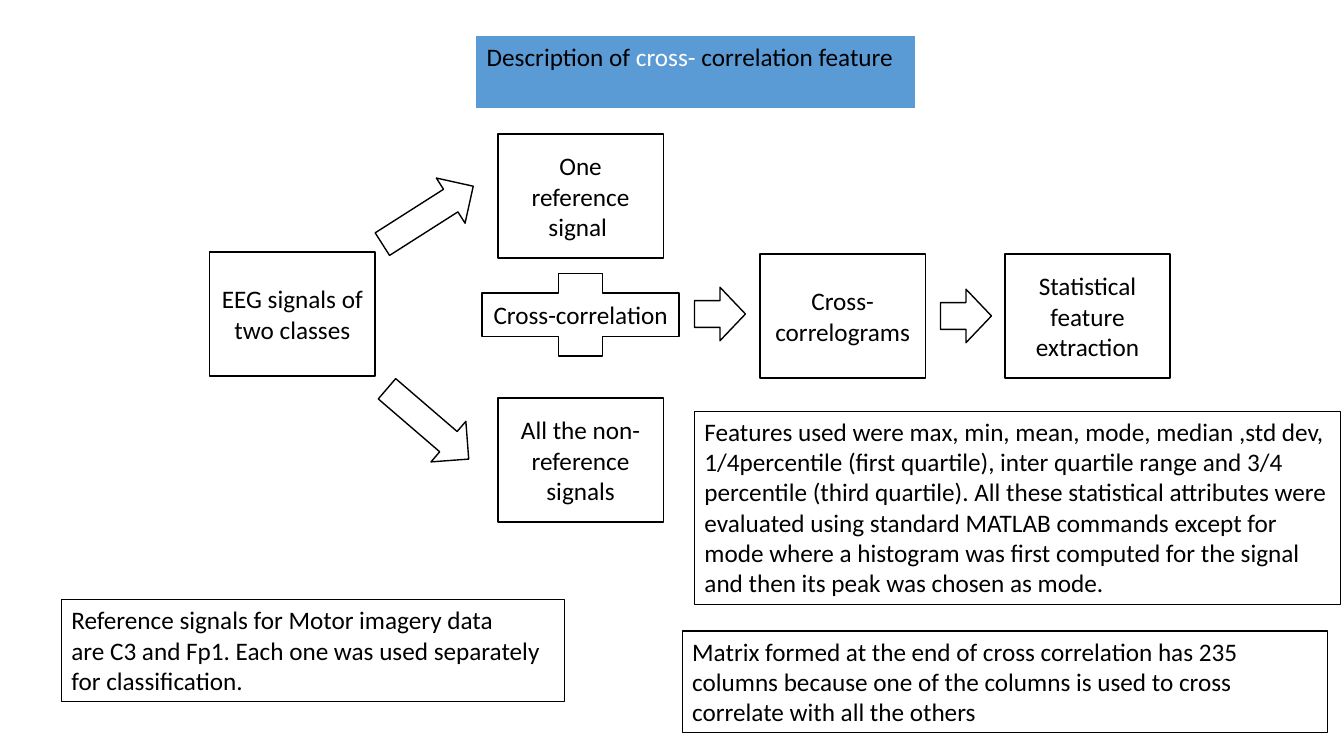
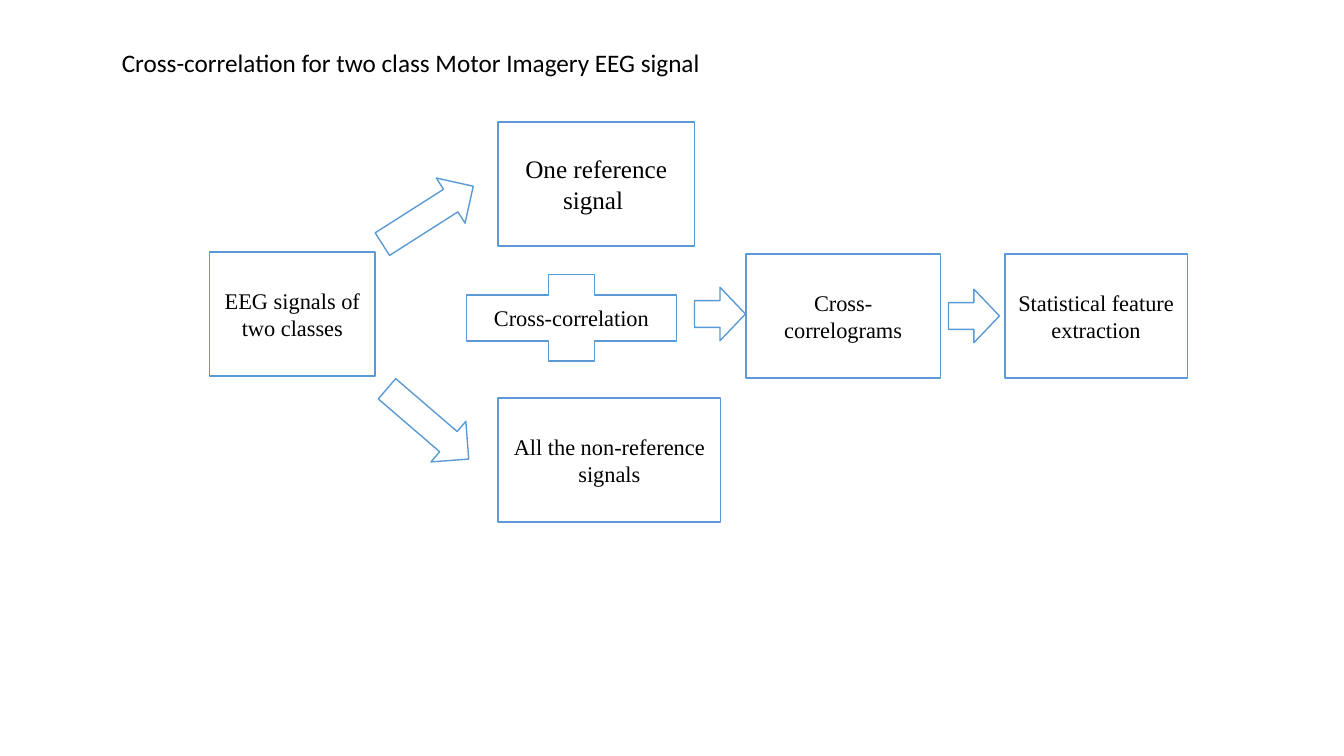
from pptx import Presentation
from pptx.dml.color import RGBColor
from pptx.enum.shapes import MSO_SHAPE
from pptx.enum.text import MSO_ANCHOR, PP_ALIGN
from pptx.util import Pt

RECTANGLE = MSO_SHAPE.RECTANGLE
RIGHT_ARROW = MSO_SHAPE.RIGHT_ARROW
PLUS = MSO_SHAPE.MATH_PLUS
LEFT, CENTER = PP_ALIGN.LEFT, PP_ALIGN.CENTER
TOP, MIDDLE = MSO_ANCHOR.TOP, MSO_ANCHOR.MIDDLE

BLACK = RGBColor(0x00, 0x00, 0x00)
WHITE = RGBColor(0xFF, 0xFF, 0xFF)
BLUE = RGBColor(0x5B, 0x9B, 0xD5)

BODY_FONT = "Calibri"
SERIF_FONT = "Times New Roman"
BODY_SIZE = 18

BOX_WIDTH, BOX_HEIGHT = 118.1, 88.6
SOURCE_LEFT, SOURCE_TOP = 149.8, 180
SIGNAL_LEFT, OTHERS_TOP = 355.7, 284.4
RESULT_TOP, FEATURES_LEFT = 181.4, 717.8
ARROW_HEIGHT = 38.2
SHORT_ARROW, LONG_ARROW = 36.4, 77


class Deck:
    """Holds the style of the diagrams and the slide being filled."""

    def __init__(self):
        self.presentation = Presentation()
        self.presentation.slide_width = Pt(960)
        self.presentation.slide_height = Pt(540)
        self.slide = None
        self.line_color, self.font, self.size = BLACK, BODY_FONT, BODY_SIZE

    def new_slide(self, line_color, font, size):
        """Start a blank slide and set the style of its diagram."""
        self.slide = self.presentation.slides.add_slide(self.presentation.slide_layouts[6])
        self.line_color, self.font, self.size = line_color, font, size

    def outline(self, kind, left, top, width, height, fill=WHITE, line=None, weight=1):
        shape = self.slide.shapes.add_shape(kind, Pt(left), Pt(top), Pt(width), Pt(height))
        shape.shadow.inherit = False
        if fill is None:
            shape.fill.background()
        else:
            shape.fill.solid()
            shape.fill.fore_color.rgb = fill
        shape.line.color.rgb = line or self.line_color
        shape.line.width = Pt(weight)
        return shape

    def set_text(self, shape, lines, font, size, alignment=LEFT, anchor=TOP):
        """Set one paragraph per line; a line is a list of (text, color) runs."""
        frame = shape.text_frame
        frame.word_wrap = True
        frame.vertical_anchor = anchor
        for index, runs in enumerate(lines):
            paragraph = frame.add_paragraph() if index else frame.paragraphs[0]
            paragraph.alignment = alignment
            paragraph.font.name = font
            paragraph.font.size = Pt(size)
            for text, color in runs:
                run = paragraph.add_run()
                run.text = text
                run.font.color.rgb = color

    def step(self, text, left, top, width=BOX_WIDTH, height=BOX_HEIGHT, kind=RECTANGLE, size=None):
        shape = self.outline(kind, left, top, width, height)
        self.set_text(shape, [[(text, BLACK)]], self.font, size or self.size, CENTER, MIDDLE)
        return shape

    def arrow(self, left, top, width=SHORT_ARROW, rotation=0):
        self.outline(RIGHT_ARROW, left, top, width, ARROW_HEIGHT).rotation = rotation

    def note(self, lines, left, top, width, height):
        shape = self.outline(RECTANGLE, left, top, width, height, fill=None, weight=0.75)
        self.set_text(shape, [[(line, BLACK)] for line in lines], BODY_FONT, BODY_SIZE)

    def banner(self, runs, left, top, width, height):
        shape = self.outline(RECTANGLE, left, top, width, height, BLUE, BLUE, 0.75)
        self.set_text(shape, [runs], BODY_FONT, BODY_SIZE)

    def heading(self, text, left, top, width, height):
        box = self.slide.shapes.add_textbox(Pt(left), Pt(top), Pt(width), Pt(height))
        self.set_text(box, [[(text, BLACK)]], BODY_FONT, BODY_SIZE)

    def flow(self, reference, others_width, correlograms, features_width, plus, last_arrow_left):
        """Draw the signal flow; the arguments are what varies between slides."""
        reference_top, reference_width = reference
        correlograms_left, correlograms_width = correlograms
        plus_left, plus_width, plus_height = plus
        self.step("One reference signal ", SIGNAL_LEFT, reference_top, reference_width, size=BODY_SIZE)
        self.step("All the non-reference signals", SIGNAL_LEFT, OTHERS_TOP, others_width)
        self.step("EEG signals of two classes", SOURCE_LEFT, SOURCE_TOP)
        self.step("Cross-correlograms", correlograms_left, RESULT_TOP, correlograms_width)
        self.step("Statistical feature extraction", FEATURES_LEFT, RESULT_TOP, features_width)
        cross = self.step("Cross-correlation", plus_left, 185, plus_width, plus_height, PLUS)
        cross.adjustments[0] = 0.39
        self.arrow(496.1, 205.2)
        self.arrow(267.1, 134.6, LONG_ARROW, 327.5)
        self.arrow(267.1, 283.7, LONG_ARROW, 40.7)
        self.arrow(last_arrow_left, 206.6)


def add_description(deck):
    deck.new_slide(BLACK, BODY_FONT, BODY_SIZE)
    deck.flow(
        reference=(95.8, BOX_WIDTH),
        others_width=BOX_WIDTH,
        correlograms=(542.9, BOX_WIDTH),
        features_width=BOX_WIDTH,
        plus=(319, 191.5, 79.9),
        last_arrow_left=671.8,
    )
    deck.banner(
        [("Description of ", BLACK), ("cross-", WHITE), (" correlation feature", BLACK)],
        340.6, 25.9, 312.5, 51.1,
    )
    deck.note(
        [
            "Reference signals for Motor imagery data",
            "are C3 and Fp1. Each one was used separately",
            "for classification.",
        ],
        43.9, 428.4, 359.3, 72.7,
    )
    deck.note(
        [
            "Features used were max, min, mean, mode, median ,std dev, 1/4percentile "
            "(first quartile), inter quartile range and 3/4 percentile (third quartile). "
            "All these statistical attributes were evaluated using standard MATLAB commands "
            "except for mode where a histogram was first computed for the signal and then "
            "its peak was chosen as mode."
        ],
        496.1, 293.8, 461.5, 138.2,
    )
    deck.note(
        [
            "Matrix formed at the end of cross correlation has 235 columns because one of "
            "the columns is used to cross correlate with all the others"
        ],
        487.4, 450.7, 460.8, 72.7,
    )


def add_two_class_flow(deck):
    deck.new_slide(BLUE, SERIF_FONT, 16)
    deck.flow(
        reference=(87.1, 140.4),
        others_width=159.1,
        correlograms=(532.8, 139),
        features_width=130.3,
        plus=(306, 204.5, 84.2),
        last_arrow_left=677.5,
    )
    deck.heading("Cross-correlation for two class Motor Imagery EEG signal", 79.9, 30.2, 671.8, 28.8)


def main():
    deck = Deck()
    add_description(deck)
    add_two_class_flow(deck)
    deck.presentation.save("out.pptx")


if __name__ == "__main__":
    main()
